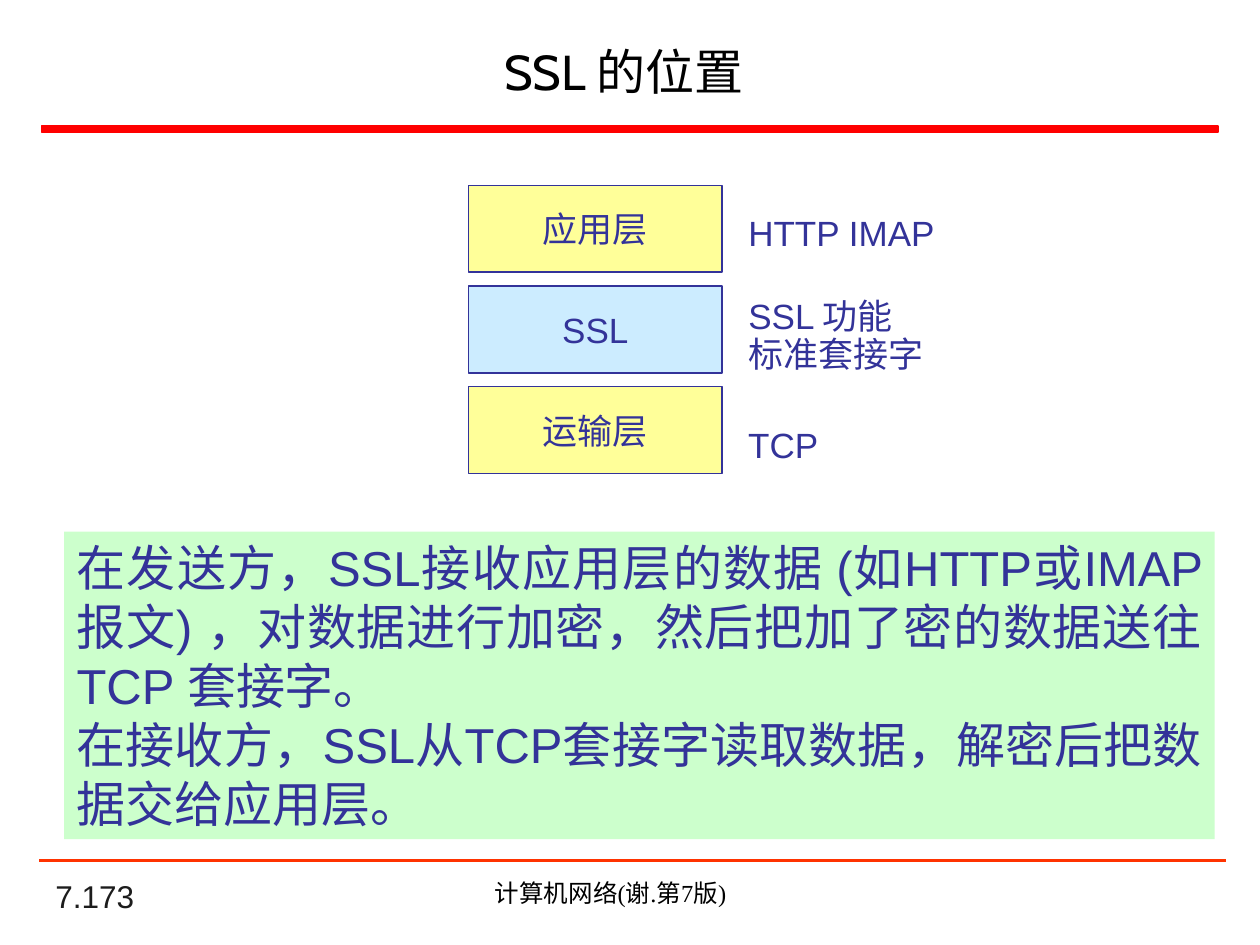
from pptx import Presentation
from pptx.dml.color import RGBColor
from pptx.enum.shapes import MSO_CONNECTOR, MSO_SHAPE
from pptx.enum.text import MSO_ANCHOR, PP_ALIGN
from pptx.oxml.ns import qn
from pptx.util import Inches, Pt
from lxml.etree import SubElement

HUES = {"ink": "333399", "black": "000000", "gray": "1C1C1C", "red": "FF0000",
        "rule": "FF3300", "yellow": "FFFF99", "blue": "CCECFF", "green": "CCFFCC"}
TITLE = "SSL 的位置 "
LAYERS = [("应用层", "yellow"), ("SSL", "blue"), ("运输层", "yellow")]
NOTES = [(["HTTP IMAP"], 1.63, 1.69, 0.44, 1),
         (["SSL 功能", "标准套接字"], 2.33, 1.59, 0.7, 0.9),
         (["TCP"], 3.31, 0.76, 0.43, 1)]
BODY = ["在发送方，SSL接收应用层的数据 (如HTTP或IMAP 报文) ，对数据进行加密，然后把加了密的数据送往 TCP 套接字。",
        "在接收方，SSL从TCP套接字读取数据，解密后把数据交给应用层。 "]
PAGE = "7.173"
FOOT = "计算机网络(谢.第7版) "
LEFT, TOP, WIDE, HIGH, STEP = 3.72, 1.47, 2.01, 0.69, 0.8


def color(key):
    return RGBColor.from_string(HUES[key])


def write(shape, lines, size, hue="ink", font="Arial", align=PP_ALIGN.LEFT,
          anchor=MSO_ANCHOR.TOP, wrap=True, space=1):
    frame = shape.text_frame
    frame.word_wrap = wrap
    frame.vertical_anchor = anchor
    frame.text = "\n".join(lines)
    for para in frame.paragraphs:
        para.alignment = align
        para.line_spacing = space
        para.font.size = Pt(size)
        para.font.name = font
        para.font.bold = False
        para.font.color.rgb = color(hue)


def box(area, fill, line=None, width=0.75):
    shape = slide.shapes.add_shape(MSO_SHAPE.RECTANGLE, *map(Inches, area))
    shape.shadow.inherit = False
    shape.fill.solid()
    shape.fill.fore_color.rgb = color(fill)
    if line:
        shape.line.color.rgb = color(line)
        shape.line.width = Pt(width)
    else:
        shape.line.fill.background()
    return shape


def label(area, lines, size, **style):
    write(slide.shapes.add_textbox(*map(Inches, area)), lines, size, **style)


deck = Presentation()
deck.slide_width, deck.slide_height = Inches(10), Inches(7.5)
slide = deck.slides.add_slide(deck.slide_layouts[5])

title = slide.shapes.title
title.left, title.top, title.width, title.height = map(Inches, (0.39, 0.22, 9.21, 0.69))
write(title, [TITLE], 28, "black", "Cabin", PP_ALIGN.CENTER, MSO_ANCHOR.MIDDLE)
box((0.33, 1, 9.34, 0.05), "red", "red", 1)

for row, (name, fill) in enumerate(LAYERS):
    layer = box((LEFT, TOP + row * STEP, WIDE, HIGH), fill, "ink")
    write(layer, [name], 20, align=PP_ALIGN.CENTER, anchor=MSO_ANCHOR.MIDDLE, wrap=False)

for lines, top, wide, high, space in NOTES:
    label((5.84, top, wide, high), lines, 20, wrap=False, space=space)

write(box((0.51, 4.22, 9.13, 2.44), "green"), BODY, 28, align=PP_ALIGN.JUSTIFY)

rule = slide.shapes.add_connector(
    MSO_CONNECTOR.STRAIGHT, *map(Inches, (0.31, 6.83, 9.73, 6.83)))
rule.line.color.rgb = color("rule")
rule.line.width = Pt(1.5)
SubElement(rule._element.spPr, qn("a:effectLst"))

label((0.34, 6.98, 2.08, 0.33), [PAGE], 18, hue="gray", anchor=MSO_ANCHOR.BOTTOM)
label((2.83, 6.92, 4.08, 0.34), [FOOT], 14, hue="black",
      font="Times New Roman", align=PP_ALIGN.CENTER)

deck.save("out.pptx")
